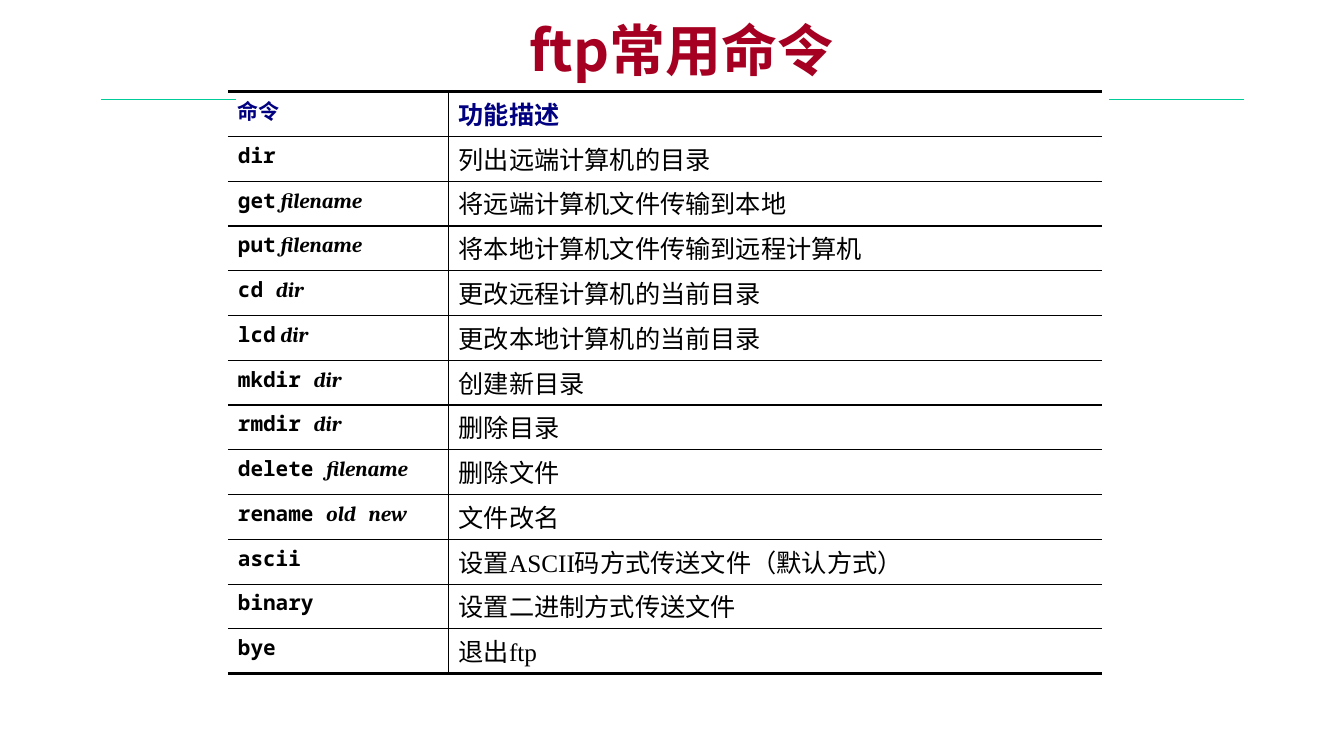
from lxml.etree import SubElement
from pptx import Presentation
from pptx.dml.color import RGBColor
from pptx.enum.shapes import MSO_CONNECTOR
from pptx.enum.text import MSO_ANCHOR, PP_ALIGN
from pptx.oxml.ns import qn
from pptx.util import Inches, Pt

COLORS = {"title": "A50021", "header": "000080", "text": "000000",
          "rule": "00CC99", "gap": "FFFFFF", "border": "000000"}
MONO, SERIF, ITALIC, CHINESE = "Noto Sans Mono", "Times New Roman", "Cambria", "Noto Sans CJK SC"
NO_STYLE = "{2D5ABB26-0587-4C30-8999-92F81FD0307C}"
THIN, THICK = 1, 2.25
COLUMN_WIDTHS = [2.19, 6.48]
TABLE_HEIGHT = 5.01

# Each row: runs of the command as (text, font), then its description
HEADER = ([("命令", SERIF)], "功能描述")
COMMANDS = [
    ([("dir", MONO)], "列出远端计算机的目录"),
    ([("get", MONO), (" filename", ITALIC)], "将远端计算机文件传输到本地"),
    ([("put", MONO), (" filename", ITALIC)], "将本地计算机文件传输到远程计算机"),
    ([("cd ", MONO), ("dir", ITALIC)], "更改远程计算机的当前目录"),
    ([("lcd", MONO), (" dir", ITALIC)], "更改本地计算机的当前目录"),
    ([("mkdir ", MONO), ("dir", ITALIC)], "创建新目录"),
    ([("rmdir ", MONO), ("dir", ITALIC)], "删除目录"),
    ([("delete ", MONO), ("filename", ITALIC)], "删除文件"),
    ([("rename ", MONO), ("old", ITALIC), (" ", MONO), ("new", ITALIC)], "文件改名"),
    ([("ascii", MONO)], "设置ASCII码方式传送文件（默认方式）"),
    ([("binary", MONO)], "设置二进制方式传送文件"),
    ([("bye", MONO)], "退出ftp"),
]


def write_runs(paragraph, runs, size, color, bold):
    paragraph.font.size = Pt(size)
    paragraph.font.bold = bold
    paragraph.font.color.rgb = RGBColor.from_string(COLORS[color])
    for text, font_name in runs:
        run = paragraph.add_run()
        run.text = text
        run.font.name = font_name
        if font_name == ITALIC:
            run.font.italic = True
        SubElement(run.font._element, qn("a:ea"), typeface=CHINESE)


def add_rule(slide, left, right, color):
    y = Inches(0.99)
    line = slide.shapes.add_connector(MSO_CONNECTOR.STRAIGHT, Inches(left), y, Inches(right), y)
    line.line.color.rgb = RGBColor.from_string(COLORS[color])
    line.line.width = Pt(0.75)
    SubElement(line._element.spPr, qn("a:effectLst"))


def format_title(slide):
    title = slide.shapes.title
    title.left, title.top = Inches(2.34), Inches(0.13)
    title.width, title.height = Inches(8.5), Inches(0.71)
    title.text_frame.vertical_anchor = MSO_ANCHOR.MIDDLE
    paragraph = title.text_frame.paragraphs[0]
    paragraph.alignment = PP_ALIGN.CENTER
    write_runs(paragraph, [(" ", MONO), ("ftp", CHINESE), ("常用命令", MONO)], 40, "title", True)


def set_borders(cell, **widths):
    properties = cell._tc.get_or_add_tcPr()
    for side in "LRTB":
        width = widths.get(side, 0)
        border = SubElement(properties, qn(f"a:ln{side}"), w=str(Pt(width)))
        if width:
            fill = SubElement(border, qn("a:solidFill"))
            SubElement(fill, qn("a:srgbClr"), val=COLORS["border"])
        else:
            SubElement(border, qn("a:noFill"))


def fill_cell(cell, runs, size, color, bold, borders):
    paragraph = cell.text_frame.paragraphs[0]
    paragraph.line_spacing = 0.95
    write_runs(paragraph, runs, size, color, bold)
    set_borders(cell, **borders)
    cell.fill.background()


def add_command_table(slide):
    rows = [HEADER, *COMMANDS]
    frame = slide.shapes.add_table(len(rows), len(COLUMN_WIDTHS), Inches(2.26), Inches(0.91),
                                   Inches(sum(COLUMN_WIDTHS)), Inches(TABLE_HEIGHT))
    table = frame.table
    table.horz_banding = False
    table._tbl.tblPr.find(qn("a:tableStyleId")).text = NO_STYLE
    for column, width in zip(table.columns, COLUMN_WIDTHS):
        column.width = Inches(width)
    for index, (command, description) in enumerate(rows):
        is_header = index == 0
        color = "header" if is_header else "text"
        edges = {"T": THICK if is_header else THIN,
                 "B": THICK if index == len(rows) - 1 else THIN}
        fill_cell(table.cell(index, 0), command, 15, color, True, {**edges, "R": THIN})
        fill_cell(table.cell(index, 1), [(description, SERIF)], 18, color, is_header,
                  {**edges, "L": THIN})


def main():
    presentation = Presentation()
    presentation.slide_width, presentation.slide_height = Inches(13.33), Inches(7.5)
    slide = presentation.slides.add_slide(presentation.slide_layouts[5])
    # Rule under the title, covered in the middle
    add_rule(slide, 1, 12.34, "rule")
    add_rule(slide, 2.34, 11, "gap")
    format_title(slide)
    add_command_table(slide)
    presentation.save("out.pptx")


if __name__ == "__main__":
    main()
